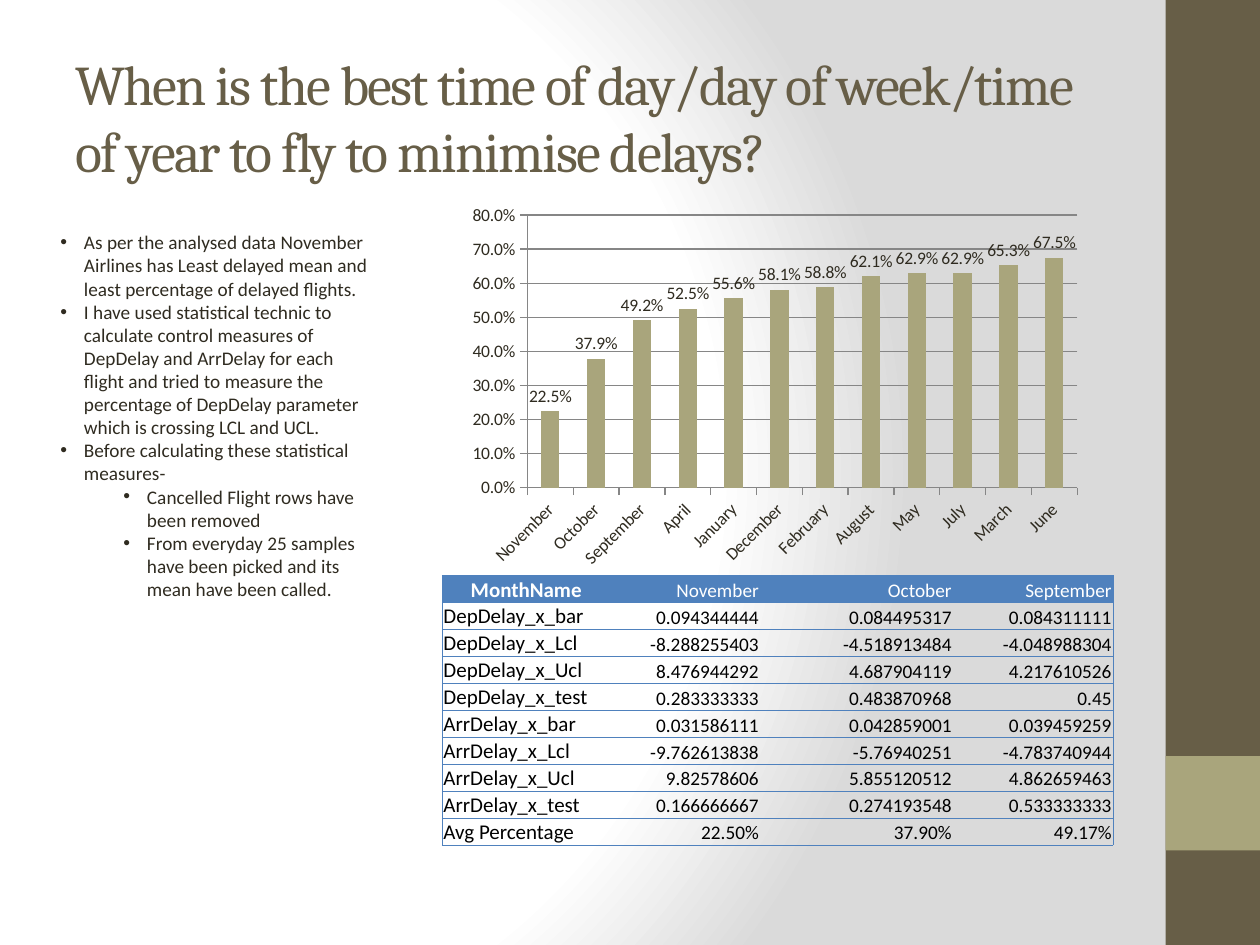
"""Build the flight delay slide with its notes, chart and table."""
from lxml import etree
from pptx import Presentation
from pptx.chart.data import CategoryChartData
from pptx.dml.color import RGBColor
from pptx.enum.chart import XL_CHART_TYPE, XL_LABEL_POSITION, XL_TICK_MARK
from pptx.enum.shapes import MSO_SHAPE
from pptx.enum.text import MSO_ANCHOR, PP_ALIGN
from pptx.oxml.ns import qn
from pptx.util import Pt

COLUMN = XL_CHART_TYPE.COLUMN_CLUSTERED
ABOVE = XL_LABEL_POSITION.OUTSIDE_END
OUT, NONE = XL_TICK_MARK.OUTSIDE, XL_TICK_MARK.NONE
RECT = MSO_SHAPE.RECTANGLE
TOP, MIDDLE, BOTTOM = MSO_ANCHOR.TOP, MSO_ANCHOR.MIDDLE, MSO_ANCHOR.BOTTOM
LEFT, CENTER, RIGHT = PP_ALIGN.LEFT, PP_ALIGN.CENTER, PP_ALIGN.RIGHT

COLORS = {"brown": "675E47", "sage": "A9A57C", "ink": "2F2B20", "blue": "4F81BD",
          "white": "FFFFFF", "black": "000000", "mist": "DADADA", "grid": "868686"}
HEAD, BODY = "Cambria", "Calibri"
PLAIN = "{2D5ABB26-0587-4C30-8999-92F81FD0307C}"


def rgb(name):
    return RGBColor.from_string(COLORS[name])


def add(parent, tag, **attrs):
    node = etree.SubElement(parent, qn(tag))
    for key, value in attrs.items():
        node.set(key, str(value))
    return node


class Page:
    def __init__(self, slide):
        self.slide = slide
        self.shapes = slide.shapes

    def back(self, stops, focus):
        self.slide.background.fill.gradient()
        grad = self.slide.element.find(".//" + qn("a:gradFill"))
        for child in list(grad):
            grad.remove(child)
        group = add(grad, "a:gsLst")
        for pos, name in stops:
            add(add(group, "a:gs", pos=pos * 1000), "a:srgbClr", val=COLORS[name])
        way = add(grad, "a:path", path="circle")
        add(way, "a:fillToRect", **{k: v * 1000 for k, v in zip("ltrb", focus)})

    def rect(self, box, color):
        shape = self.shapes.add_shape(RECT, *map(Pt, box))
        shape.shadow.inherit = False
        shape.fill.solid()
        shape.fill.fore_color.rgb = rgb(color)
        shape.line.fill.background()

    def run(self, para, text, size, color, face=BODY, bold=False):
        run = para.add_run()
        run.text = text
        font = run.font
        font.size, font.name, font.bold = Pt(size), face, bold
        font.color.rgb = rgb(color)
        return run

    def frame(self, box, anchor):
        frame = self.shapes.add_textbox(*map(Pt, box)).text_frame
        frame.word_wrap = True
        frame.vertical_anchor = anchor
        return frame

    def title(self, box, text):
        para = self.frame(box, MIDDLE).paragraphs[0]
        run = self.run(para, text, 32, "brown", HEAD)
        run.font._element.set("spc", "-100")

    def notes(self, box, items):
        frame = self.frame(box, TOP)
        for i, (level, text) in enumerate(items):
            para = frame.add_paragraph() if i else frame.paragraphs[0]
            para.level = level
            props = para._p.get_or_add_pPr()
            props.set("marL", str(Pt(13.5 + 36 * level)))
            props.set("indent", str(-Pt(13.5)))
            add(props, "a:buFont", typeface="Arial")
            add(props, "a:buChar", char="•")
            self.run(para, text, 11, "ink")

    def chart(self, box, data):
        source = CategoryChartData(number_format="0.0%")
        source.categories = [name for name, _ in data]
        source.add_series("Series 1", [value / 100 for _, value in data])
        chart = self.shapes.add_chart(COLUMN, *map(Pt, box), source).chart
        chart.has_title = chart.has_legend = False
        chart.font.size, chart.font.name = Pt(10), BODY
        chart.font.color.rgb = rgb("ink")
        plot = chart.plots[0]
        plot.gap_width, plot.vary_by_categories = 150, False
        fill = plot.series[0].format.fill
        fill.solid()
        fill.fore_color.rgb = rgb("sage")
        plot.has_data_labels = True
        labels = plot.data_labels
        labels.show_value, labels.position = True, ABOVE
        labels.number_format, labels.number_format_is_linked = "0.0%", False
        cat, val = chart.category_axis, chart.value_axis
        val.minimum_scale, val.maximum_scale, val.major_unit = 0, 0.8, 0.1
        val.has_major_gridlines = True
        val.tick_labels.number_format = "0.0%"
        val.tick_labels.number_format_is_linked = False
        for axis in (cat, val):
            axis.major_tick_mark, axis.minor_tick_mark = OUT, NONE
        for part in (cat, val, val.major_gridlines):
            part.format.line.color.rgb = rgb("grid")
            part.format.line.width = Pt(0.75)
        font = cat.tick_labels.font
        font.size, font.name = Pt(10), BODY
        font.color.rgb = rgb("ink")
        cat._element.find(".//" + qn("a:bodyPr")).set("rot", "-2700000")

    def edge(self, cell, sides):
        props = cell._tc.get_or_add_tcPr()
        for i, side in enumerate(sides):
            line = etree.Element(qn("a:ln" + side), w=str(Pt(0.5)))
            add(add(line, "a:solidFill"), "a:srgbClr", val=COLORS["blue"])
            props.insert(i, line)

    def table(self, spot, widths, high, rows):
        size = sum(widths), high * len(rows)
        table = self.shapes.add_table(len(rows), len(widths), *map(Pt, spot + size)).table
        table.horz_banding = False
        table._tbl.tblPr.find(qn("a:tableStyleId")).text = PLAIN
        for col, wide in zip(table.columns, widths):
            col.width = Pt(wide)
        for r, row in enumerate(rows):
            table.rows[r].height = Pt(high)
            for c, text in enumerate(row):
                cell = table.cell(r, c)
                cell.margin_left = cell.margin_right = cell.margin_top = Pt(0.72)
                cell.margin_bottom = 0
                cell.vertical_anchor = BOTTOM
                if r:
                    cell.fill.background()
                else:
                    cell.fill.solid()
                    cell.fill.fore_color.rgb = rgb("blue")
                para = cell.text_frame.paragraphs[0]
                para.alignment = RIGHT if c else LEFT if r else CENTER
                self.run(para, text, 11 if c else 12, "black" if r else "white",
                         bold=not (r or c))
                first, last = c == 0, c == len(widths) - 1
                self.edge(cell, ["L"] * first + ["R"] * last + ["T", "B"])


NOTES = [
    (0, "As per the analysed data November Airlines has Least delayed mean and "
        "least percentage of delayed flights."),
    (0, "I have used statistical technic to calculate control measures of DepDelay and "
        "ArrDelay for each flight and tried to measure the percentage of DepDelay "
        "parameter which is crossing LCL and UCL."),
    (0, "Before calculating these statistical measures-"),
    (1, "Cancelled Flight rows have been removed"),
    (1, "From everyday 25 samples have been picked and its mean have been called."),
]
DELAYS = [("November", 22.5), ("October", 37.9), ("September", 49.2), ("April", 52.5),
          ("January", 55.6), ("December", 58.1), ("February", 58.8), ("August", 62.1),
          ("May", 62.9), ("July", 62.9), ("March", 65.3), ("June", 67.5)]
ROWS = [
    ("MonthName", "November", "October", "September"),
    ("DepDelay_x_bar", "0.094344444", "0.084495317", "0.084311111"),
    ("DepDelay_x_Lcl", "-8.288255403", "-4.518913484", "-4.048988304"),
    ("DepDelay_x_Ucl", "8.476944292", "4.687904119", "4.217610526"),
    ("DepDelay_x_test", "0.283333333", "0.483870968", "0.45"),
    ("ArrDelay_x_bar", "0.031586111", "0.042859001", "0.039459259"),
    ("ArrDelay_x_Lcl", "-9.762613838", "-5.76940251", "-4.783740944"),
    ("ArrDelay_x_Ucl", "9.82578606", "5.855120512", "4.862659463"),
    ("ArrDelay_x_test", "0.166666667", "0.274193548", "0.533333333"),
    ("Avg Percentage", "22.50%", "37.90%", "49.17%"),
]

deck = Presentation()
deck.slide_width, deck.slide_height = Pt(720), Pt(540)
page = Page(deck.slides.add_slide(deck.slide_layouts[6]))
page.back([(0, "white"), (75, "white"), (100, "mist")], (20, 50, 100, 50))
page.rect((666, 0, 54, 540), "brown")
page.rect((666, 432, 54, 54), "sage")
page.title((36, 21.6, 600, 90),
           "When is the best time of day/day of week/time of year to fly to minimise delays?")
page.notes((27.4, 128.2, 193.7, 220.3), NOTES)
page.chart((262.8, 113, 360, 216), DELAYS)
page.table((252.7, 329), (96, 85.7, 110.2, 91.4), 15.4, ROWS)
deck.save("out.pptx")
